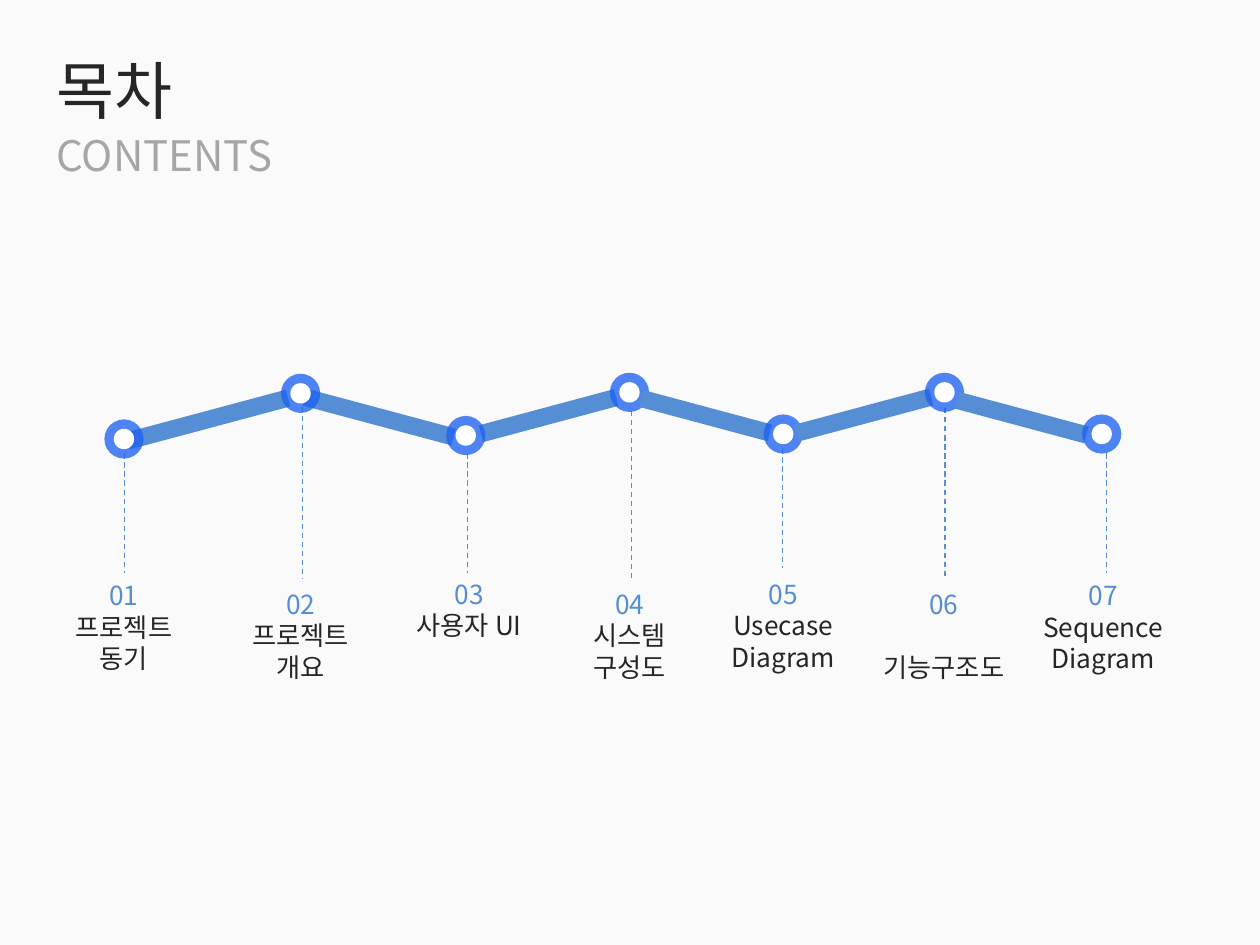
from lxml import etree
from pptx import Presentation
from pptx.dml.color import RGBColor
from pptx.enum.dml import MSO_LINE
from pptx.enum.shapes import MSO_CONNECTOR, MSO_SHAPE
from pptx.enum.text import MSO_AUTO_SIZE, PP_ALIGN
from pptx.oxml.ns import qn
from pptx.util import Cm, Pt

RECTANGLE, OVAL = MSO_SHAPE.RECTANGLE, MSO_SHAPE.OVAL
STRAIGHT, DASH = MSO_CONNECTOR.STRAIGHT, MSO_LINE.DASH
LEFT, CENTER = PP_ALIGN.LEFT, PP_ALIGN.CENTER
FIT_SHAPE = MSO_AUTO_SIZE.SHAPE_TO_FIT_TEXT

FONT = "Noto Sans CJK KR"
PAPER, INK, GREY = "FAFAFA", "262626", "A6A6A6"
BLUE, RING_BLUE, WHITE = "558ED5", "1D62F0", "FFFFFF"
RING_OPACITY = 78
RING_SIZE, HOLE_SIZE, BAR_HEIGHT, BAR_ANGLE = 0.79, 0.41, 0.35, 15
LABEL_SIZE = 15

# Text, left, top, width, height (cm), size (pt), colour
TITLES = [
    ("목차", 0.89, 0.91, 19.2, 1.8, 36, INK),
    ("CONTENTS", 0.89, 2.49, 19.2, 1.27, 24, GREY),
]

# Lengths in cm. node: centre; bar: centre and length of the bar leading to it;
# drop: x, top, bottom; label: centre x, top, width
STOPS = [
    dict(lines=["프로젝트", "동기"], node=(2.5, 8.85), bar=None,
         drop=(2.51, 9.14, 11.56), label=(2.5, 11.56, 3.12)),
    dict(lines=["프로젝트", "개요"], node=(6.06, 7.93), bar=(4.19, 8.46, 3.35),
         drop=(6.1, 8.2, 11.68), label=(6.06, 11.73, 3.35)),
    dict(lines=["사용자 UI"], node=(9.39, 8.78), bar=(7.65, 8.41, 3.1),
         drop=(9.42, 9.14, 11.56), label=(9.46, 11.53, 2.87)),
    dict(lines=["시스템", "구성도"], node=(12.69, 7.91), bar=(11.06, 8.38, 2.82),
         drop=(12.73, 8.28, 11.73), label=(12.7, 11.73, 2.54)),
    dict(lines=["Usecase", "Diagram"], node=(15.79, 8.75), bar=(14.22, 8.38, 2.69),
         drop=(15.78, 9.04, 11.46), label=(15.79, 11.53, 3.53)),
    dict(lines=["기능구조도"], node=(19.04, 7.91), bar=(17.41, 8.37, 2.82),
         drop=(19.05, 8.23, 11.68), label=(19.03, 11.73, 3.3), gap=18),
    dict(lines=["Sequence", "Diagram"], node=(22.21, 8.75), bar=(20.6, 8.42, 2.69),
         drop=(22.3, 9.14, 11.56), label=(22.24, 11.56, 3.53)),
]
DRAW_ORDER = [3, 2, 1, 0, 4, 5, 6]


def colour(hex_string):
    """Turn a hex string into a colour."""
    return RGBColor.from_string(hex_string)


def add_centred(shapes, kind, x, y, width, height, fill, rotation=0):
    """Add a filled shape without outline, centred on a point."""
    shape = shapes.add_shape(kind, Cm(x - width / 2), Cm(y - height / 2),
                             Cm(width), Cm(height))
    shape.shadow.inherit = False
    shape.fill.solid()
    shape.fill.fore_color.rgb = colour(fill)
    shape.line.fill.background()
    shape.rotation = rotation
    return shape


def add_text(shapes, left, top, width, height, lines, alignment=LEFT):
    """Add a text box; each line is (text, size, colour, space before)."""
    box = shapes.add_textbox(Cm(left), Cm(top), Cm(width), Cm(height))
    frame = box.text_frame
    frame.word_wrap = True
    frame.auto_size = FIT_SHAPE
    for index, (text, size, fill, gap) in enumerate(lines):
        paragraph = frame.add_paragraph() if index else frame.paragraphs[0]
        run = paragraph.add_run()
        run.text = text
        paragraph.alignment = alignment
        paragraph.space_before = Pt(gap)
        run.font.name = FONT
        run.font.size = Pt(size)
        run.font.color.rgb = colour(fill)
        east_asian = etree.SubElement(run.font._element, qn("a:ea"))
        east_asian.set("typeface", FONT)


def add_drop(shapes, x, top, bottom):
    """Add the dashed vertical line from a node to its label."""
    line = shapes.add_connector(STRAIGHT, Cm(x), Cm(top), Cm(x), Cm(bottom))
    line.line.color.rgb = colour(BLUE)
    line.line.width = Pt(0.75)
    line.line.dash_style = DASH
    etree.SubElement(line._element.spPr, qn("a:effectLst"))


def add_node(shapes, node, bar, rising):
    """Add a node, grouped with the bar that leads to it."""
    group = shapes.add_group_shape().shapes
    if bar:
        x, y, length = bar
        angle = 360 - BAR_ANGLE if rising else BAR_ANGLE
        add_centred(group, RECTANGLE, x, y, length, BAR_HEIGHT, BLUE, angle)
    ring = add_centred(group, OVAL, *node, RING_SIZE, RING_SIZE, RING_BLUE)
    ring_colour = ring._element.spPr.find(qn("a:solidFill"))[0]
    alpha = etree.SubElement(ring_colour, qn("a:alpha"))
    alpha.set("val", str(RING_OPACITY * 1000))
    add_centred(group, OVAL, *node, HOLE_SIZE, HOLE_SIZE, WHITE)


presentation = Presentation()
presentation.slide_width, presentation.slide_height = Cm(25.4), Cm(19.05)
slide = presentation.slides.add_slide(presentation.slide_layouts[6])
slide.background.fill.solid()
slide.background.fill.fore_color.rgb = colour(PAPER)

for text, left, top, width, height, size, fill in TITLES:
    add_text(slide.shapes, left, top, width, height, [(text, size, fill, 0)])

for stop in STOPS:
    add_drop(slide.shapes, *stop["drop"])

for index in DRAW_ORDER:
    add_node(slide.shapes, STOPS[index]["node"], STOPS[index]["bar"], index % 2 == 1)

for number, stop in enumerate(STOPS, start=1):
    center, top, width = stop["label"]
    lines = [(f"{number:02d}", LABEL_SIZE, BLUE, 0)]
    lines += [(text, LABEL_SIZE, INK, stop.get("gap", 0)) for text in stop["lines"]]
    height = 0.26 + 0.64 * len(lines)
    add_text(slide.shapes, center - width / 2, top, width, height, lines, CENTER)

presentation.save("out.pptx")
